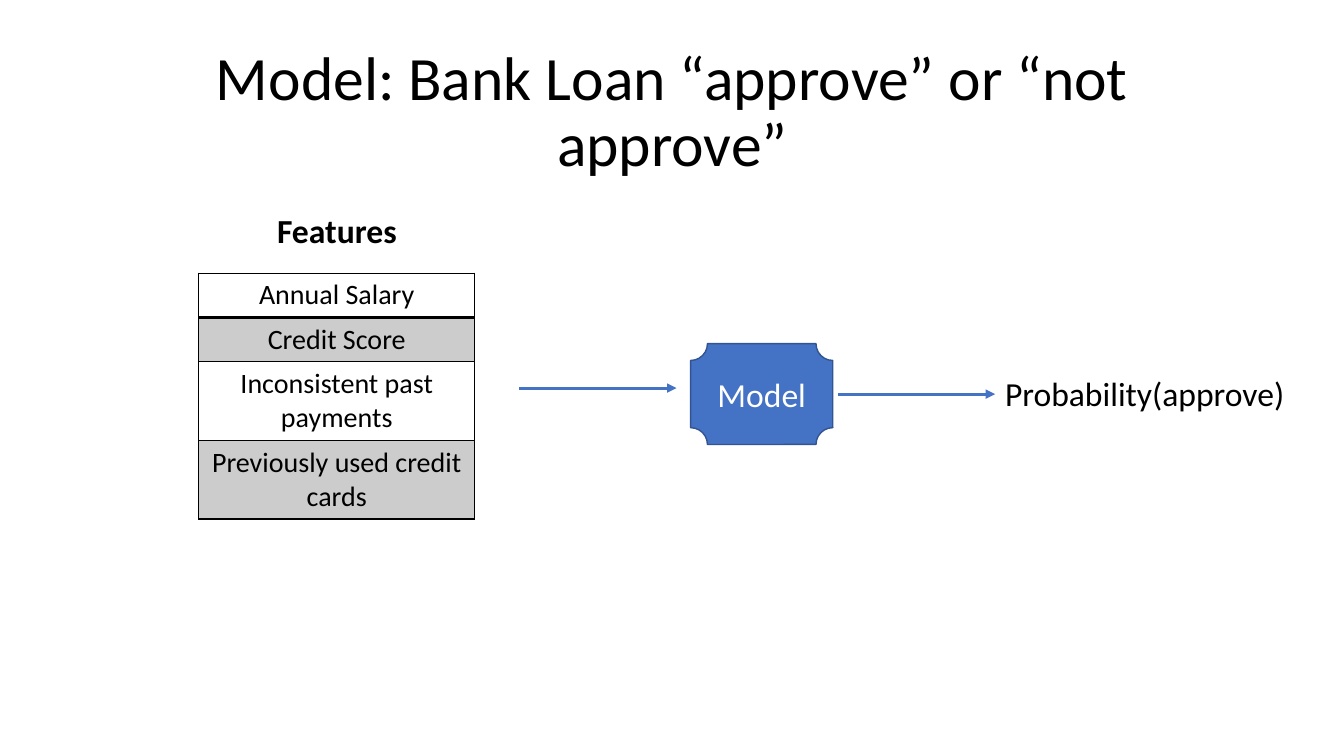
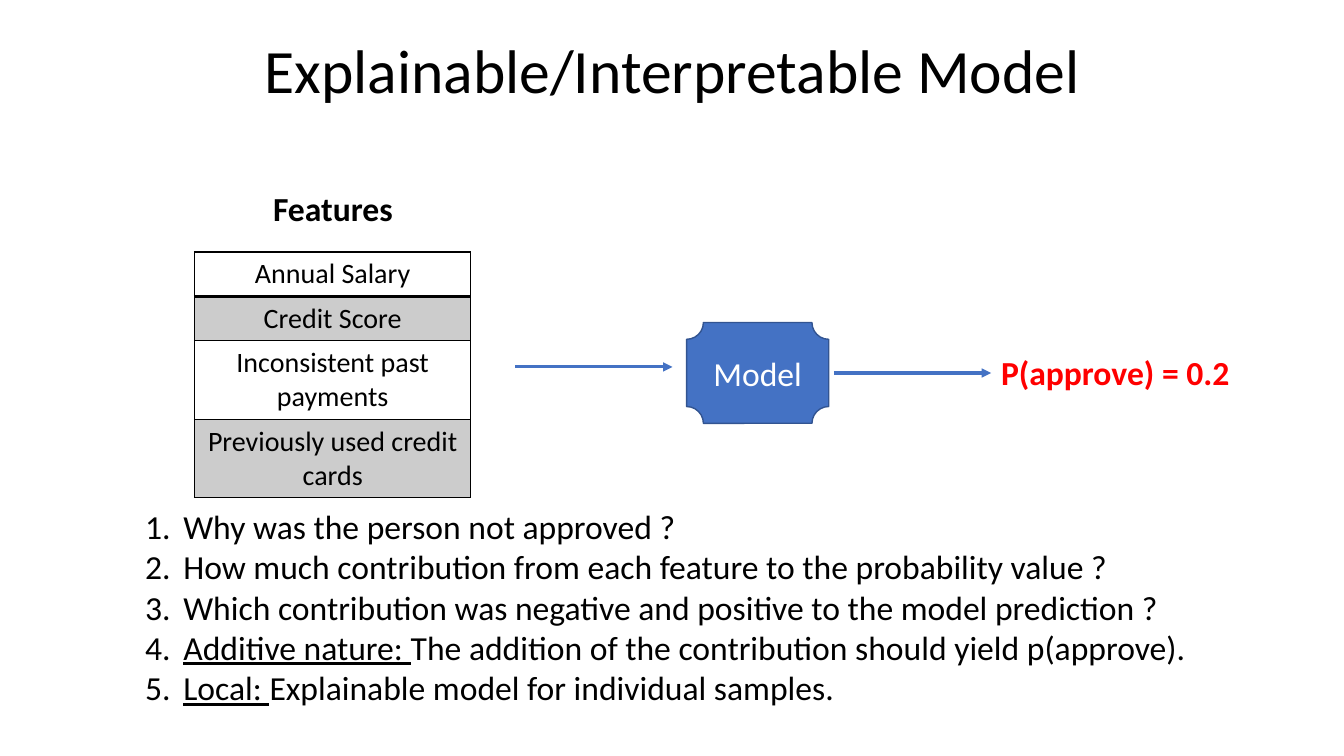
from lxml import etree
from pptx import Presentation
from pptx import util as u
from pptx.dml.color import RGBColor
from pptx.enum import shapes, text
from pptx.oxml import ns

PX = 9144  # EMU per px, 100 px to the inch
BLACK = RGBColor(0x00, 0x00, 0x00)
WHITE = RGBColor(0xFF, 0xFF, 0xFF)
GREY = RGBColor(0xCC, 0xCC, 0xCC)
BLUE = RGBColor(0x44, 0x72, 0xC4)
DARK_BLUE = RGBColor(0x32, 0x54, 0x91)
RED = RGBColor(0xFF, 0x00, 0x00)

FEATURES = [
    ("Annual Salary", 44),
    ("Credit Score", 44),
    ("Inconsistent past payments", 78),
    ("Previously used credit cards", 78),
]
QUESTIONS = [
    ("", "Why was the person not approved ?"),
    ("", "How much contribution from each feature to the probability value ?"),
    ("", "Which contribution was negative and positive to the model prediction ?"),
    ("Additive nature: ", "The addition of the contribution should yield p(approve)."),
    ("Local: ", "Explainable model for individual samples."),
]


def px(*lengths):
    return [u.Emu(length * PX) for length in lengths]


def add_xml(parent, tag, **attributes):
    return etree.SubElement(parent, ns.qn(tag), attributes)


class Deck:
    FONT = "Calibri"
    TITLE, BODY, CELL = 44, 24, 20

    def __init__(self):
        self.presentation = Presentation()
        self.presentation.slide_width, self.presentation.slide_height = px(1333, 750)
        self.slide = None

    def add_slide(self, heading, top):
        self.slide = self.presentation.slides.add_slide(self.presentation.slide_layouts[6])
        title = self.label(heading, 92, top, 1150, 145, size=self.TITLE,
                           align=text.PP_ALIGN.CENTER, wrap=True)
        title.vertical_anchor = text.MSO_ANCHOR.MIDDLE
        title.paragraphs[0].line_spacing = 0.9

    def style(self, frame, size, color=BLACK, bold=False, align=text.PP_ALIGN.LEFT):
        for paragraph in frame.paragraphs:
            paragraph.alignment = align
            for run in paragraph.runs:
                run.font.name = self.FONT
                run.font.size = u.Pt(size)
                run.font.bold = bold
                run.font.color.rgb = color

    def label(self, words, left, top, width, height=50, size=BODY, wrap=False, **look):
        frame = self.slide.shapes.add_textbox(*px(left, top, width, height)).text_frame
        frame.word_wrap = wrap
        frame.text = words
        self.style(frame, size, **look)
        return frame

    def arrow(self, left, top, length):
        line = self.slide.shapes.add_connector(
            shapes.MSO_CONNECTOR.STRAIGHT, *px(left, top, left + length, top))
        line.line.color.rgb = BLUE
        line.line.width = u.Pt(2.25)
        add_xml(line.line._get_or_add_ln(), "a:tailEnd", type="triangle")
        add_xml(line._element.spPr, "a:effectLst")

    def plaque(self, words, left, top, width, height):
        shape = self.slide.shapes.add_shape(
            shapes.MSO_SHAPE.PLAQUE, *px(left, top, width, height))
        shape.shadow.inherit = False
        shape.fill.solid()
        shape.fill.fore_color.rgb = BLUE
        shape.line.color.rgb = DARK_BLUE
        shape.line.width = u.Pt(1)
        shape.text_frame.text = words
        shape.text_frame.vertical_anchor = text.MSO_ANCHOR.MIDDLE
        self.style(shape.text_frame, self.BODY, WHITE, align=text.PP_ALIGN.CENTER)

    def borders(self, cell, **points):
        """Draw the sides L, R, T and B of a cell, each with its width in points."""
        properties = cell._tc.get_or_add_tcPr()
        for side, width in points.items():
            line = add_xml(properties, f"a:ln{side}", w=str(u.Pt(width)))
            add_xml(add_xml(line, "a:solidFill"), "a:srgbClr", val=str(BLACK))

    def feature_table(self, left, top, width):
        heights = [height for _, height in FEATURES]
        table = self.slide.shapes.add_table(
            len(FEATURES), 1, *px(left, top, width, sum(heights))).table
        table.first_row = table.horz_banding = False
        for index, (feature, height) in enumerate(FEATURES):
            table.rows[index].height = px(height)[0]
            cell = table.cell(index, 0)
            cell.text = feature
            self.style(cell.text_frame, self.CELL, align=text.PP_ALIGN.CENTER)
            self.borders(cell, L=1, R=1, T=2 if index == 1 else 1, B=2 if index == 0 else 1)
            if index % 2:
                cell.fill.solid()
                cell.fill.fore_color.rgb = GREY
            else:
                cell.fill.background()

    def model_flow(self, left, top, result, result_width, **look):
        """Draw features, model and result; left and top are the table's corner."""
        self.feature_table(left, top, 274)
        self.label("Features", left + 68, top - 68, 140, bold=True)
        self.arrow(left + 318, top + 114, 156)
        self.plaque("Model", left + 488, top + 70, 141, 100)
        self.arrow(left + 634, top + 120, 156)
        self.label(result, left + 790, top + 94, result_width, **look)

    def numbered_list(self, items, left, top, width, height):
        frame = self.slide.shapes.add_textbox(*px(left, top, width, height)).text_frame
        frame.word_wrap = True
        indent = px(38)[0]
        for index, (term, sentence) in enumerate(items):
            paragraph = frame.add_paragraph() if index else frame.paragraphs[0]
            if term:
                paragraph.text = term
                paragraph.runs[0].font.underline = True
            paragraph.add_run().text = sentence
            properties = paragraph._p.get_or_add_pPr()
            properties.set("marL", str(indent))
            properties.set("indent", str(-indent))
            add_xml(properties, "a:buAutoNum", type="arabicPeriod")
        self.style(frame, self.BODY)


def main():
    deck = Deck()

    deck.add_slide("Model: Bank Loan “approve” or “not approve”", top=40)
    deck.model_flow(197, 271, "Probability(approve)", 300)

    deck.add_slide("Explainable/Interpretable Model", top=0)
    deck.model_flow(193, 250, "P(approve) = 0.2", 249, color=RED, bold=True)
    deck.numbered_list(QUESTIONS, 134, 497, 1132, 283)

    deck.presentation.save("out.pptx")


if __name__ == "__main__":
    main()
